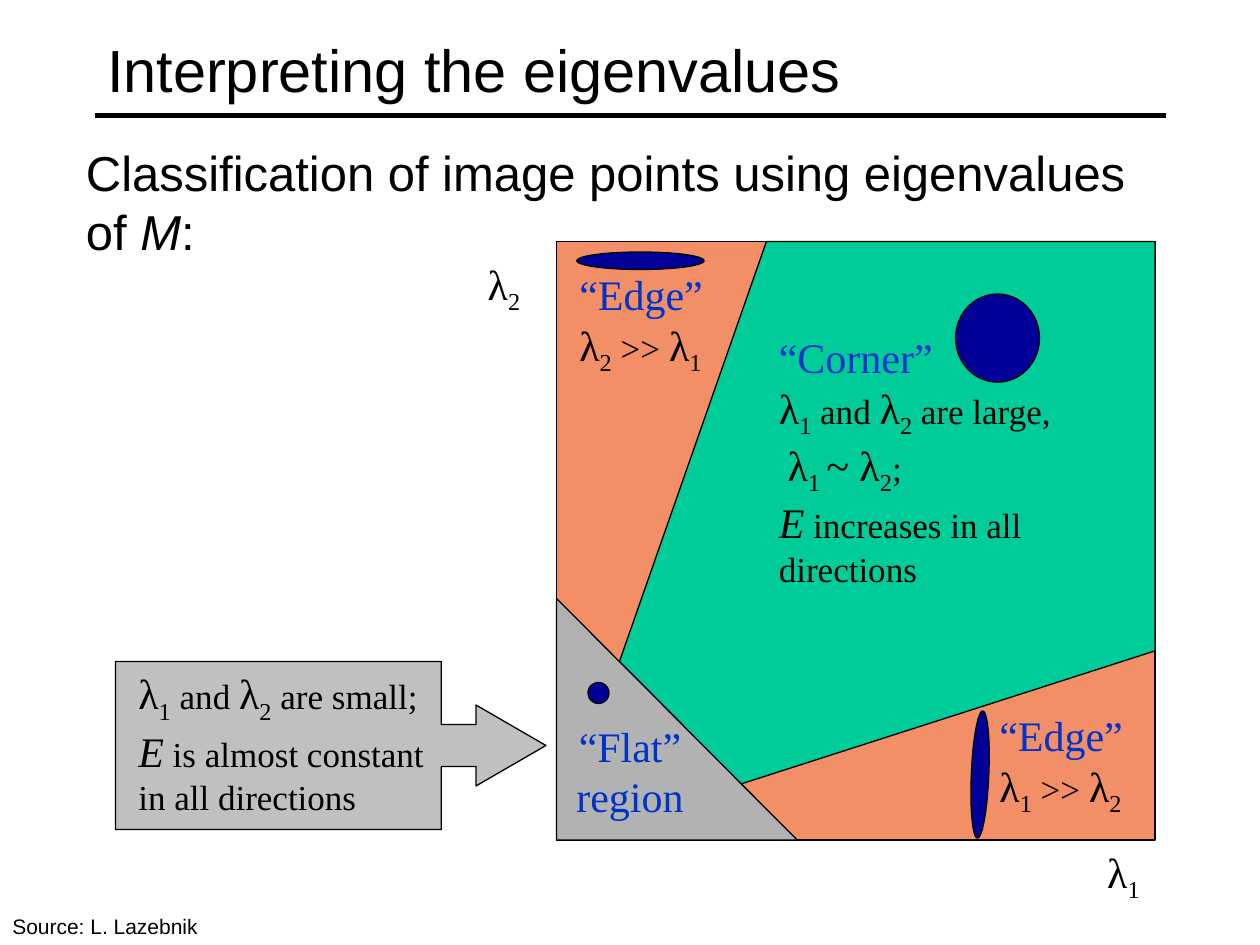
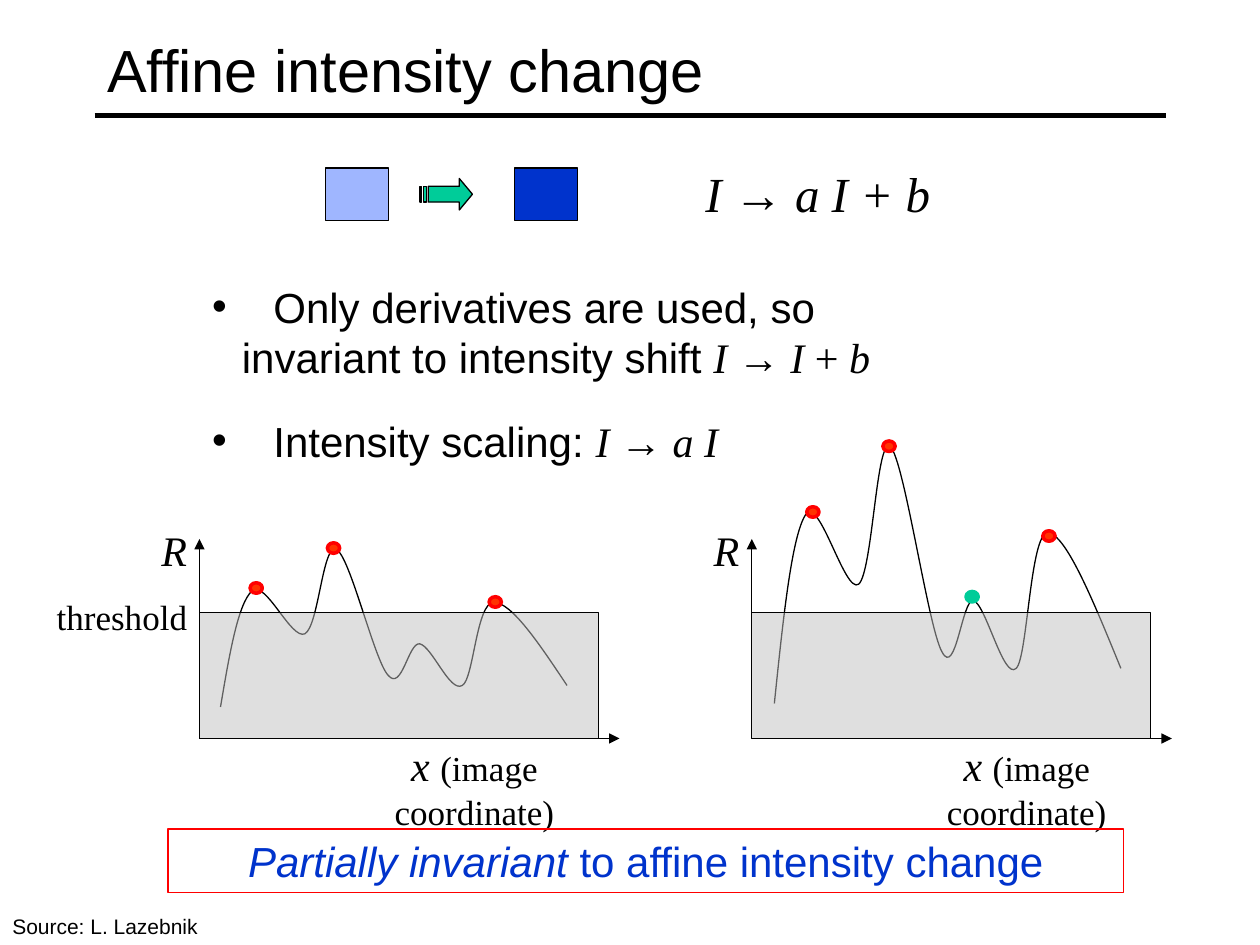
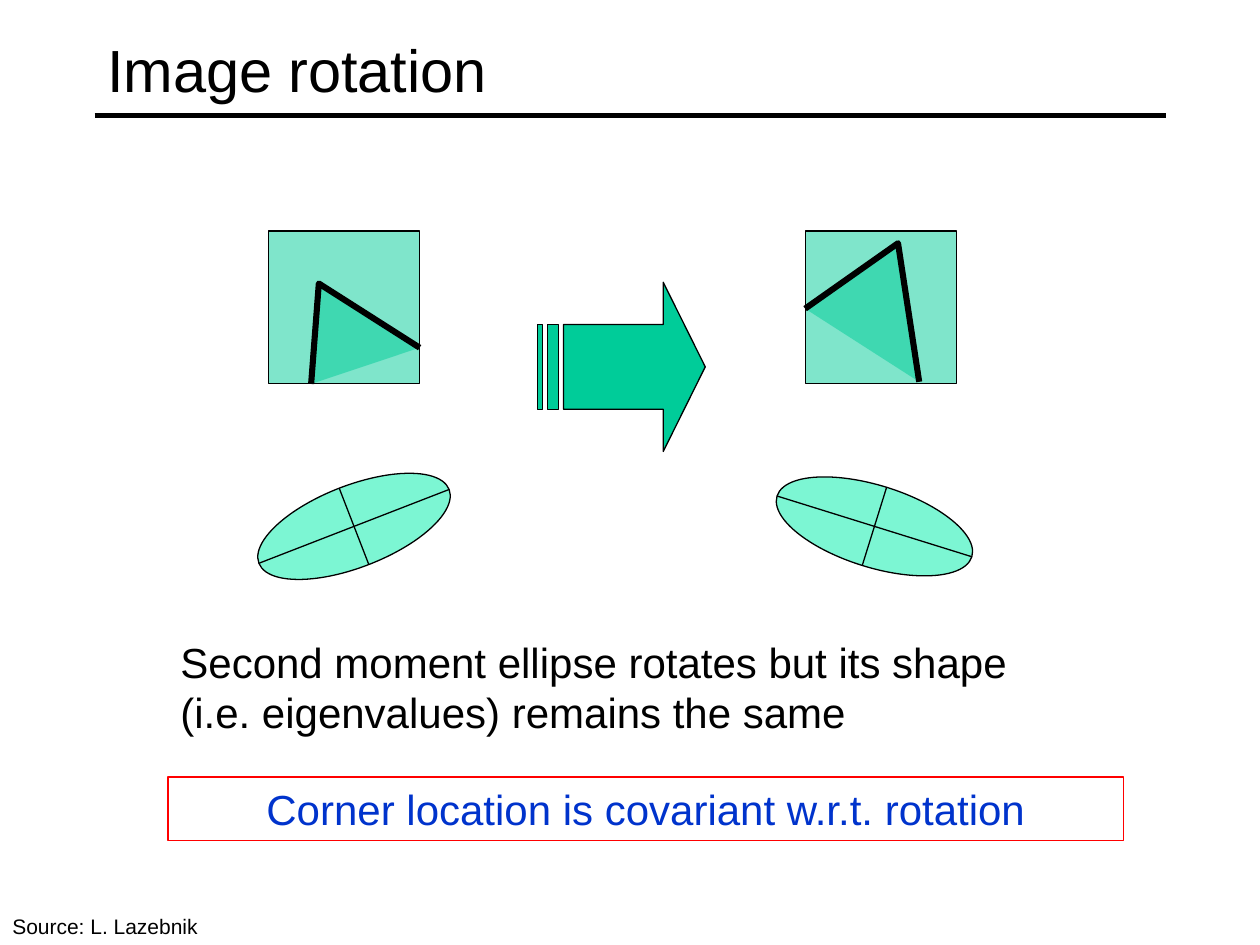
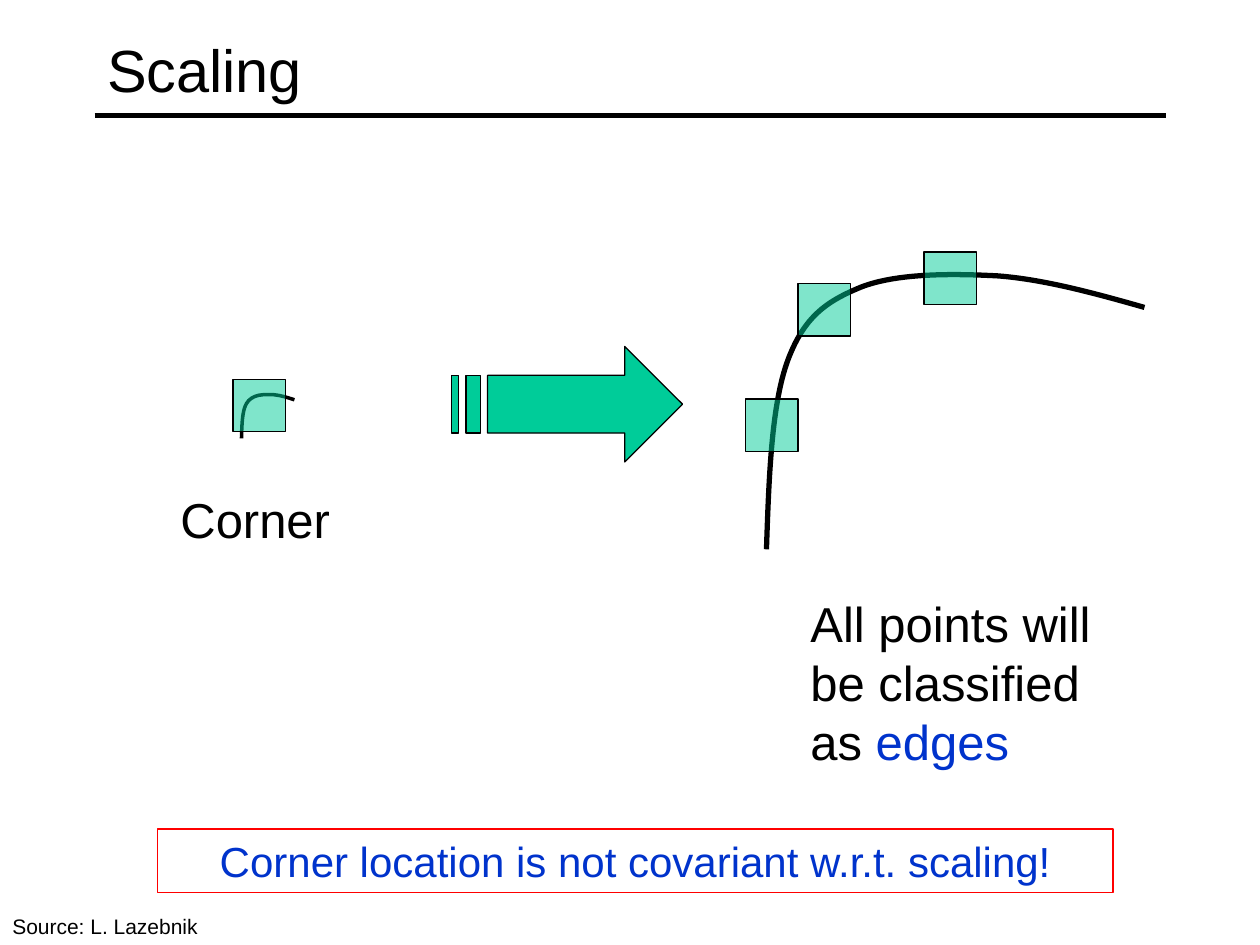
import dataclasses
import math
from typing import NamedTuple

import lxml.etree
import pptx
import pptx.dml.color
import pptx.enum.shapes
import pptx.enum.text
import pptx.oxml.ns
import pptx.util

Pt = pptx.util.Pt
qn = pptx.oxml.ns.qn
SHAPE = pptx.enum.shapes.MSO_SHAPE
ALIGN = pptx.enum.text.PP_ALIGN
ANCHOR = pptx.enum.text.MSO_ANCHOR
AUTO_SIZE = pptx.enum.text.MSO_AUTO_SIZE

SANS = "Arial"
SERIF = "Times New Roman"
COLORS = {
    "black": "000000", "white": "FFFFFF", "blue": "0033CC", "pale blue": "9FB6FF",
    "navy": "000099", "green": "00CC99", "mint": "7CF6D3", "orange": "F38F67",
    "gray": "B2B2B2", "silver": "C0C0C0", "red": "FF0000", "scarlet": "FF3300",
}
TITLE_ONLY, TITLE_AND_BODY = 5, 1


class Place(NamedTuple):
    left: float
    top: float
    width: float
    height: float


class Point(NamedTuple):
    x: float
    y: float


@dataclasses.dataclass(frozen=True)
class Span:
    text: str
    size: float = 24
    font: str = SERIF
    color: str = "black"
    italic: bool = False
    subscript: bool = False
    spacing: float = 0


@dataclasses.dataclass(frozen=True)
class Dot:
    x: float
    y: float
    fill: str = "scarlet"
    line: str = "red"


@dataclasses.dataclass(frozen=True)
class Graph:
    left: float
    curve_start: Point
    stretch: float


@dataclasses.dataclass(frozen=True)
class MomentEllipse:
    left: float
    angle: float


# Curves as rises from their start: three points for each cubic segment
RESPONSE = [
    (5, 29.6), (10, 59.1), (18, 66.3), (25.9, 72.8), (40.3, 38.2), (48.2, 41.8),
    (56.2, 46.2), (58.3, 93.7), (66.2, 90.1), (74.2, 85.8), (87.8, 26.7), (95.8, 18.1),
    (103.7, 8.7), (107.3, 36.8), (113.8, 36.1), (121, 34.6), (131, 8), (138.2, 12.3),
    (144.7, 15.9), (146.2, 59.8), (156.2, 59.8), (166.3, 59.8), (182.2, 36.1), (198, 12.3),
]
CORNER_ARC = [
    (1.4, 41.8), (2.9, 82.8), (12.2, 108), (21.6, 133.2), (34.6, 141.8), (54, 149.8),
    (74.2, 157.7), (105.1, 157.7), (132.5, 156.2), (159.1, 154.1), (187.9, 146.2), (216, 138.2),
]


# Text
def rgb(name: str):
    return pptx.dml.color.RGBColor.from_string(COLORS[name])


def write(para, text: str, *, size: float = 24, font: str = SERIF, color: str = "black",
          italic: bool = False, subscript: bool = False, spacing: float = 0) -> None:
    """Add text to a paragraph; each newline becomes a line break."""
    for number, line in enumerate(text.split("\n")):
        if number:
            para.add_line_break()
        if not line:
            continue
        run = para.add_run()
        run.text = line
        run.font.size = Pt(size)
        run.font.name = font
        run.font.italic = italic
        run.font.color.rgb = rgb(color)
        if subscript:
            run._r.get_or_add_rPr().set("baseline", "-25000")
        if spacing:
            run._r.get_or_add_rPr().set("spc", str(round(spacing * 100)))


def write_spans(para, spans: list[Span]) -> None:
    for span in spans:
        write(para, **dataclasses.asdict(span))


def eigenvalue(number: int) -> list[Span]:
    return [Span("λ"), Span(str(number), subscript=True)]


def sans(text: str, size: float = 24, **look) -> Span:
    return Span(text, size, SANS, **look)


def italic(text: str, size: float = 24) -> Span:
    return Span(text, size, italic=True)


def add_text(page, place: Place, spans: list[Span], align=ALIGN.LEFT, wrap: bool = True):
    box = page.shapes.add_textbox(*map(Pt, place))
    frame = box.text_frame
    frame.word_wrap = wrap
    frame.auto_size = AUTO_SIZE.SHAPE_TO_FIT_TEXT
    para = frame.paragraphs[0]
    para.alignment = align
    write_spans(para, spans)
    return box


def add_conclusion(page, left: float, top: float, spans: list[Span]) -> None:
    box = add_text(page, Place(left, top, 546, 36.4), spans, ALIGN.CENTER)
    box.line.color.rgb = rgb("red")
    box.line.width = Pt(0.75)


# Shapes and lines
def style(shape, fill: str | None, line: str = "black", width: float = 0.75,
          opacity: int = 100) -> None:
    shape.shadow.inherit = False
    if fill is None:
        shape.fill.background()
    else:
        shape.fill.solid()
        shape.fill.fore_color.rgb = rgb(fill)
        if opacity < 100:
            color = shape.element.spPr.find(qn("a:solidFill"))[0]
            lxml.etree.SubElement(color, qn("a:alpha"), val=str(opacity * 1000))
    shape.line.color.rgb = rgb(line)
    shape.line.width = Pt(width)


def add_shape(page, kind, place: Place, fill: str, rotation: float = 0, **look):
    shape = page.shapes.add_shape(kind, *map(Pt, place))
    shape.rotation = rotation
    style(shape, fill, **look)
    return shape


def add_outline(page, contours: list[list], fill: str | None, closed: bool = True, **look):
    contours = [[(Pt(x), Pt(y)) for x, y in contour] for contour in contours]
    builder = page.shapes.build_freeform(*contours[0][0])
    for number, contour in enumerate(contours):
        if number:
            builder.move_to(*contour[0])
        builder.add_line_segments(contour[1:], close=closed)
    shape = builder.convert_to_shape()
    style(shape, fill, **look)
    return shape


def add_curve(page, start: Point, rises: list, scale_x: float = 1, scale_y: float = 1,
              width: float = 0.75) -> None:
    knots = [start] + [Point(start.x + dx * scale_x, start.y - dy * scale_y) for dx, dy in rises]
    shape = add_outline(page, [knots], None, closed=False, width=width)
    # Join each three straight segments into one cubic segment
    segments = list(shape.element.iter(qn("a:lnTo")))
    for first in range(0, len(segments), 3):
        cubic = lxml.etree.Element(qn("a:cubicBezTo"))
        segments[first].addprevious(cubic)
        for segment in segments[first:first + 3]:
            cubic.append(segment[0])
            segment.getparent().remove(segment)


def add_line(page, start: Point, end: Point, width: float = 0.75, arrow: bool = False):
    line = page.shapes.add_connector(pptx.enum.shapes.MSO_CONNECTOR.STRAIGHT,
                                     *map(Pt, (*start, *end)))
    line.line.color.rgb = rgb("black")
    line.line.width = Pt(width)
    properties = line.element.spPr
    if arrow:
        lxml.etree.SubElement(properties.find(qn("a:ln")), qn("a:tailEnd"), type="triangle")
    lxml.etree.SubElement(properties, qn("a:effectLst"))
    return line


def add_striped_arrow(page, place: Place) -> None:
    """Arrow with two stripes; widths are 32nds of the whole, the head is a quarter."""
    left, top, width, height = place
    right, middle = left + width, top + height / 2
    neck = left + width * 0.75
    upper, lower = top + height / 4, top + height * 0.75
    body = left + width * 5 / 32
    contours = [[(neck, top), (neck, upper), (body, upper), (body, lower), (neck, lower),
                 (neck, top + height), (right, middle)]]
    for first, last in ((2, 4), (0, 1)):
        near, far = left + width * first / 32, left + width * last / 32
        contours.append([(near, upper), (near, lower), (far, lower), (far, upper)])
    add_outline(page, contours, "green")


# Shared parts
def add_page(deck, title: str, layout: int = TITLE_ONLY):
    page = deck.slides.add_slide(deck.slide_layouts[layout])
    heading = page.shapes.title
    heading.left, heading.top, heading.width, heading.height = map(Pt, (54, 6, 612, 66))
    frame = heading.text_frame
    frame.auto_size = AUTO_SIZE.NONE
    frame.vertical_anchor = ANCHOR.MIDDLE
    para = frame.paragraphs[0]
    para.alignment = ALIGN.LEFT
    write(para, title, size=34, font=SANS)
    return page


def add_source(page):
    return add_text(page, Place(0, 518.3, 139, 21.6), [sans("Source: L. Lazebnik", 12)])


def add_title_rule(deck, page) -> None:
    """Draw the rule under the titles and move it to the slide master."""
    rule = add_line(page, Point(54, 66), Point(666, 66), width=3)
    rule.element.nvCxnSpPr.cNvPr.set("id", "20")
    deck.slide_master.shapes.element.append(rule.element)


# Slide 1
def build_eigenvalues(deck) -> None:
    page = add_page(deck, "Interpreting the eigenvalues")
    add_title_rule(deck, page)

    # Regions of the eigenvalue plane
    callout = add_shape(page, SHAPE.RIGHT_ARROW_CALLOUT, Place(66, 378, 246, 96), "silver")
    for number, value in enumerate((0.25, 0.241, 0.416, 0.757)):
        callout.adjustments[number] = value
    add_shape(page, SHAPE.RECTANGLE, Place(318, 138, 342, 342), "orange")
    add_outline(page, [[(354, 378), (438, 138), (660, 138), (660, 372), (423.5, 448)]], "green")
    add_shape(page, SHAPE.RIGHT_TRIANGLE, Place(318, 342, 137.5, 138), "gray")

    # Axis names and descriptions
    add_text(page, Place(612, 480, 60, 36), eigenvalue(1), ALIGN.CENTER)
    add_text(page, Place(246, 144, 84, 36), eigenvalue(2), ALIGN.CENTER)
    add_text(page, Place(438, 186, 210, 146), [
        Span("“Corner”\n", color="blue"),
        *eigenvalue(1), Span(" and ", 20), *eigenvalue(2), Span(" are large,\n ", 20),
        Span("λ"), Span("1 ", subscript=True), Span("~ "), *eigenvalue(2), Span(";\n", 20),
        italic("E"), Span(" increases in all directions", 20),
    ])
    add_text(page, Place(72, 378, 186, 88.5), [
        *eigenvalue(1), Span(" and ", 20), *eigenvalue(2), Span(" are small;\n", 20),
        italic("E"), Span(" is almost constant in all directions", 20),
    ])
    for left, top, larger, smaller in ((564, 402, 1, 2), (324, 150, 2, 1)):
        add_text(page, Place(left, top, 102, 65), [
            Span("“Edge”\n", color="blue"),
            *eigenvalue(larger), Span(" >> ", 20), *eigenvalue(smaller),
        ])
    add_text(page, Place(312, 408, 96, 65), [Span("“Flat” region", color="blue")], ALIGN.CENTER)
    add_text(page, Place(42, 78, 630, 74), [
        sans("Classification of image points using eigenvalues of ", 28),
        sans("M", 28, italic=True), sans(":", 28),
    ])

    # Ellipse of each region
    for place, rotation in (
        (Place(546, 168, 48, 50.4), 0),
        (Place(329.6, 144, 72.7, 10), 0),
        (Place(336, 390, 12, 12), 0),
        (Place(523.7, 437.6, 72.7, 10), 92.4),
    ):
        add_shape(page, SHAPE.OVAL, place, "navy", rotation)
    source = add_source(page)
    source.fill.solid()
    source.fill.fore_color.rgb = rgb("white")


# Slide 2
def add_graph(page, graph: Graph) -> None:
    left, base = graph.left, 422
    origin = Point(left, base)
    add_curve(page, graph.curve_start, RESPONSE, scale_y=graph.stretch)
    add_line(page, origin, Point(left + 240, base), arrow=True)
    add_line(page, origin, Point(left, 308), arrow=True)
    add_text(page, Place(left - 29, 296, 29, 36), [italic("R")], ALIGN.CENTER, wrap=False)
    add_text(page, Place(left + 66.6, 419.2, 181, 36),
             [italic("x "), Span("(image coordinate)", 20)], ALIGN.CENTER)
    add_shape(page, SHAPE.RECTANGLE, Place(left, 350, 228, 72), "silver", opacity=50)


def build_intensity(deck) -> None:
    page = add_page(deck, "Affine intensity change", TITLE_AND_BODY)

    # Bullets
    body = page.placeholders[1]
    body.left, body.top, body.width, body.height = map(Pt, (114, 157, 438, 112))
    frame = body.text_frame
    frame.auto_size = AUTO_SIZE.NONE
    gap = Span(" ", spacing=12)
    bullets = [
        [gap, sans("Only derivatives are used, so invariant to intensity shift "),
         italic("I "), Span("→ "), italic("I "), Span("+ "), italic("b")],
        [gap, sans("Intensity scaling: "), italic("I "), Span("→ "), italic("a I")],
    ]
    for number, spans in enumerate(bullets):
        para = frame.add_paragraph() if number else frame.paragraphs[0]
        properties = para._p.get_or_add_pPr()
        properties.set("marL", str(Pt(17)))
        properties.set("indent", str(-Pt(17)))
        para.space_before = Pt(19 if number else 0)
        write_spans(para, spans)

    # Graphs before and after scaling
    for graph in (Graph(114, Point(126, 404), 1), Graph(429.6, Point(442.5, 402), 1.63)):
        add_graph(page, graph)
    add_text(page, Place(25.2, 337, 89, 31), [Span("threshold", 20)], ALIGN.CENTER, wrap=False)
    for dot in (
        Dot(146.4, 336), Dot(190.6, 313.2), Dot(283, 344),
        Dot(464.5, 292.6), Dot(508, 255), Dot(555.5, 341, "green", "green"),
        Dot(599.4, 306.3),
    ):
        add_shape(page, SHAPE.OVAL, Place(dot.x - 3.5, dot.y - 3, 7, 6), dot.fill,
                  line=dot.line, width=2)
    add_conclusion(page, 96, 473.7, [
        sans("Partially invariant ", color="blue", italic=True),
        sans("to affine intensity change", color="blue"),
    ])

    # Intensity change
    add_text(page, Place(396, 90, 145, 41),
             [italic("I ", 28), Span("→ ", 28), italic("a I + b", 28)], wrap=False)
    for left, fill in ((294, "blue"), (186, "pale blue")):
        add_shape(page, SHAPE.RECTANGLE, Place(left, 96, 36, 30), fill)
    add_striped_arrow(page, Place(240, 102, 30, 18))
    add_source(page)


# Slide 3
def add_moment_ellipse(page, ellipse: MomentEllipse) -> None:
    place = Place(ellipse.left, 277.4, 116.6, 46.8)
    add_shape(page, SHAPE.OVAL, place, "mint", ellipse.angle)
    x, y = place.left + place.width / 2, place.top + place.height / 2
    for length, turn in ((place.width, 0), (place.height, 90)):
        angle = math.radians(ellipse.angle + turn)
        dx, dy = length / 2 * math.cos(angle), length / 2 * math.sin(angle)
        add_line(page, Point(x - dx, y - dy), Point(x + dx, y + dy))


def build_rotation(deck) -> None:
    page = add_page(deck, "Image rotation")
    add_text(page, Place(96, 360, 528, 65.5), [
        sans("Second moment ellipse rotates but its shape (i.e. eigenvalues) remains the same"),
    ])
    for left, corner in (
        (153.4, [(177.8, 219.4), (182.2, 162), (239.8, 198.7)]),
        (460.4, [(460.1, 176.4), (513.2, 139), (525.3, 218.2)]),
    ):
        add_shape(page, SHAPE.RECTANGLE, Place(left, 132, 86.4, 87), "green", opacity=50)
        add_outline(page, [corner], "green", closed=False, width=3.5, opacity=50)
    add_striped_arrow(page, Place(307, 161.3, 96, 96.7))
    for ellipse in (MomentEllipse(144, 338.8), MomentEllipse(441.4, 17.3)):
        add_moment_ellipse(page, ellipse)
    add_conclusion(page, 96, 444,
                   [sans("Corner location is covariant w.r.t. rotation", color="blue")])
    add_source(page)


# Slide 4
def build_scaling(deck) -> None:
    page = add_page(deck, "Scaling")
    add_text(page, Place(456, 335.7, 204, 108), [
        sans("All points will be classified as ", 28), sans("edges", 28, color="blue"),
    ])

    # Small corner
    window = 30
    add_curve(page, Point(138, 250.6), CORNER_ARC, 0.14, 0.16, width=2)
    add_shape(page, SHAPE.RECTANGLE, Place(133.2, 216.7, window, window), "green", opacity=50)
    add_text(page, Place(96, 276, 126, 41), [sans("Corner", 28)])
    add_conclusion(page, 90, 473.7,
                   [sans("Corner location is not covariant w.r.t. scaling!", color="blue")])

    # Enlarged corner under windows of the same size
    add_curve(page, Point(438, 313.9), CORNER_ARC, width=3)
    add_striped_arrow(page, Place(258, 198, 132, 66))
    for left, top in ((528, 144), (456, 162), (426, 228)):
        add_shape(page, SHAPE.RECTANGLE, Place(left, top, window, window), "green", opacity=50)
    add_source(page)


def main() -> None:
    deck = pptx.Presentation()
    deck.slide_width, deck.slide_height = Pt(720), Pt(540)
    build_eigenvalues(deck)
    build_intensity(deck)
    build_rotation(deck)
    build_scaling(deck)
    deck.save("out.pptx")


if __name__ == "__main__":
    main()
